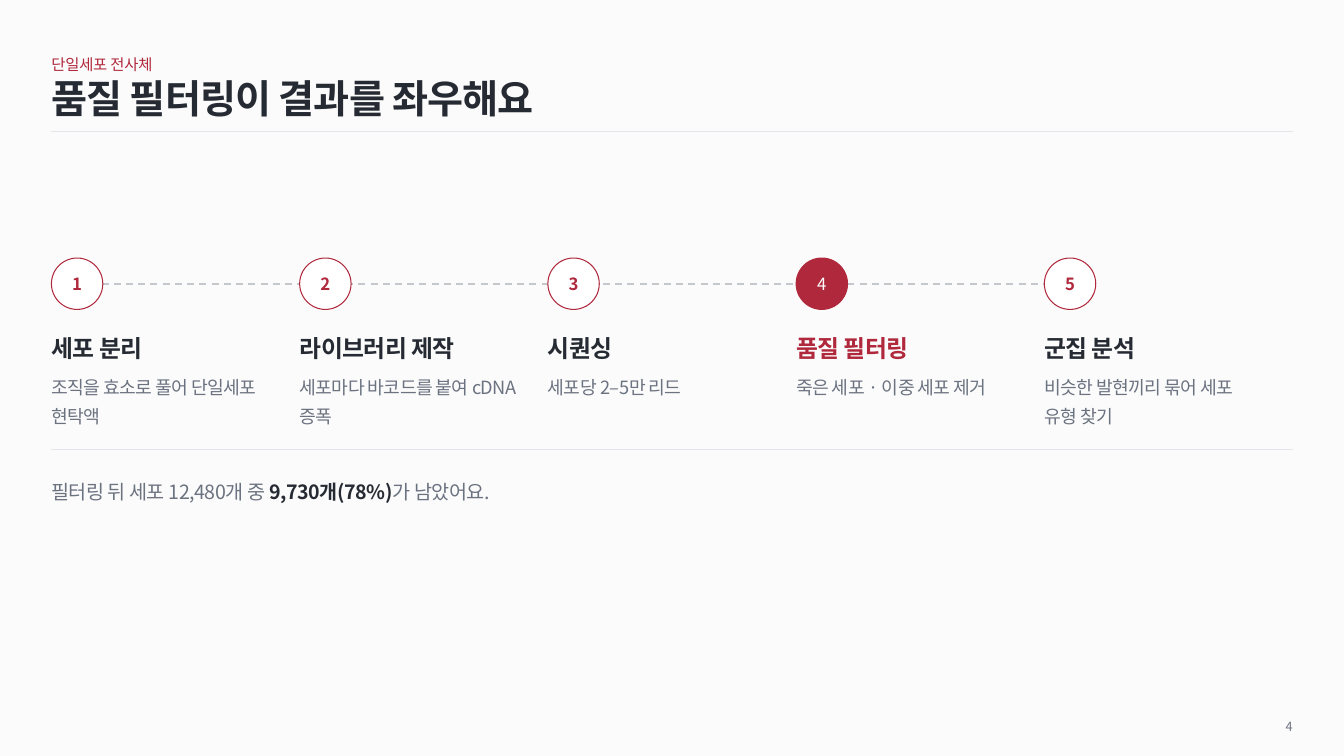
from lxml import etree
from pptx import Presentation
from pptx.dml.color import RGBColor
from pptx.enum.dml import MSO_LINE
from pptx.enum.shapes import MSO_CONNECTOR, MSO_SHAPE
from pptx.enum.text import MSO_ANCHOR, MSO_AUTO_SIZE, PP_ALIGN
from pptx.oxml.ns import qn
from pptx.util import Inches, Pt

PAPER = RGBColor(0xFB, 0xFB, 0xFB)
WHITE = RGBColor(0xFF, 0xFF, 0xFF)
INK = RGBColor(0x26, 0x2B, 0x33)
MUTED = RGBColor(0x6B, 0x72, 0x80)
CRIMSON = RGBColor(0xB0, 0x28, 0x3C)
RULE = RGBColor(0xE2, 0xE5, 0xEA)
TRACK = RGBColor(0xC4, 0xC7, 0xCC)

LEFT, WIDTH = 0.51, 12.31
RIGHT = LEFT + WIDTH
CIRCLE, CIRCLE_TOP = 0.51, 2.56
ACTIVE_STEP = 4
STEPS = [
    ("세포 분리", "조직을 효소로 풀어 단일세포 현탁액"),
    ("라이브러리 제작", "세포마다 바코드를 붙여 cDNA 증폭"),
    ("시퀀싱", "세포당 2–5만 리드"),
    ("품질 필터링", "죽은 세포 · 이중 세포 제거"),
    ("군집 분석", "비슷한 발현끼리 묶어 세포 유형 찾기"),
]
PITCH = WIDTH / len(STEPS)


class Deck:
    """Holds the text style and the current slide, and adds elements to it."""

    def __init__(self, slide, font="Noto Sans CJK KR"):
        self.slide = slide
        self.font = font
        slide.background.fill.solid()
        slide.background.fill.fore_color.rgb = PAPER

    def set_text(self, shape, runs, size, align=PP_ALIGN.LEFT,
                 anchor=MSO_ANCHOR.TOP, leading=1.0, tracking=-0.4):
        frame = shape.text_frame
        frame.word_wrap = True
        frame.auto_size = MSO_AUTO_SIZE.NONE
        frame.vertical_anchor = anchor
        frame.margin_left = frame.margin_right = 0
        frame.margin_top = frame.margin_bottom = 0
        paragraph = frame.paragraphs[0]
        paragraph.alignment = align
        paragraph.line_spacing = leading
        paragraph.space_before = paragraph.space_after = Pt(0)
        for text, color, bold in runs:
            run = paragraph.add_run()
            run.text = text
            run.font.size = Pt(size)
            run.font.bold = bold
            run.font.color.rgb = color
            run.font.name = self.font
            properties = run.font._element
            properties.set("spc", str(round(tracking * 100)))
            etree.SubElement(properties, qn("a:ea")).set("typeface", self.font)

    def placeholder(self, shape, box, runs, size, **style):
        shape.left, shape.top, shape.width, shape.height = map(Inches, box)
        self.set_text(shape, runs, size, **style)

    def text(self, box, runs, size, **style):
        shape = self.slide.shapes.add_textbox(*map(Inches, box))
        self.set_text(shape, runs, size, **style)

    def line(self, start, end, y, color=RULE, width=0.75, dash=None):
        line = self.slide.shapes.add_connector(
            MSO_CONNECTOR.STRAIGHT, Inches(start), Inches(y), Inches(end), Inches(y))
        line.line.color.rgb = color
        line.line.width = Pt(width)
        if dash:
            line.line.dash_style = dash
        etree.SubElement(line._element.spPr, qn("a:effectLst"))

    def badge(self, left, number, active):
        circle = self.slide.shapes.add_shape(
            MSO_SHAPE.OVAL, *map(Inches, (left, CIRCLE_TOP, CIRCLE, CIRCLE)))
        circle.shadow.inherit = False
        circle.fill.solid()
        circle.fill.fore_color.rgb = CRIMSON if active else WHITE
        circle.line.color.rgb = CRIMSON
        circle.line.width = Pt(0.75)
        self.set_text(circle, [(str(number), WHITE if active else CRIMSON, not active)],
                      12, align=PP_ALIGN.CENTER, anchor=MSO_ANCHOR.MIDDLE)

    def step(self, number, heading, detail):
        left = LEFT + (number - 1) * PITCH
        active = number == ACTIVE_STEP
        self.badge(left, number, active)
        self.text((left, 3.25, 2.15, 0.34),
                  [(heading, CRIMSON if active else INK, True)], 17, leading=1.2)
        self.text((left, 3.67, 2.15, 0.56), [(detail, MUTED, False)], 13, leading=1.3)


presentation = Presentation()
presentation.slide_width, presentation.slide_height = Inches(13.33), Inches(7.5)
slide = presentation.slides.add_slide(
    presentation.slide_layouts.get_by_name("Section Header"))
deck = Deck(slide)

deck.line(LEFT, RIGHT, 1.3)
deck.placeholder(slide.placeholders[1], (LEFT, 0.51, 5.51, 0.22),
                 [("단일세포 전사체", CRIMSON, False)], 11,
                 anchor=MSO_ANCHOR.BOTTOM, tracking=-0.2)
deck.placeholder(slide.shapes.title, (LEFT, 0.73, WIDTH, 0.49),
                 [("품질 필터링이 결과를 좌우해요", INK, True)], 28,
                 anchor=MSO_ANCHOR.MIDDLE, tracking=-0.6)

first_center = LEFT + CIRCLE / 2
last_center = first_center + (len(STEPS) - 1) * PITCH
deck.line(first_center, last_center, CIRCLE_TOP + CIRCLE / 2,
          TRACK, 1.25, MSO_LINE.DASH)
for number, (heading, detail) in enumerate(STEPS, start=1):
    deck.step(number, heading, detail)

deck.line(LEFT, RIGHT, 4.46)
deck.text((LEFT, 4.68, WIDTH, 0.33),
          [("필터링 뒤 세포 12,480개 중 ", MUTED, False),
           ("9,730개(78%)", INK, True),
           ("가 남았어요.", MUTED, False)], 14, leading=1.35)
deck.text((RIGHT - 1.18, 7.11, 1.18, 0.2), [("4", MUTED, False)], 9,
          align=PP_ALIGN.RIGHT, anchor=MSO_ANCHOR.MIDDLE, tracking=0)

presentation.save("out.pptx")
